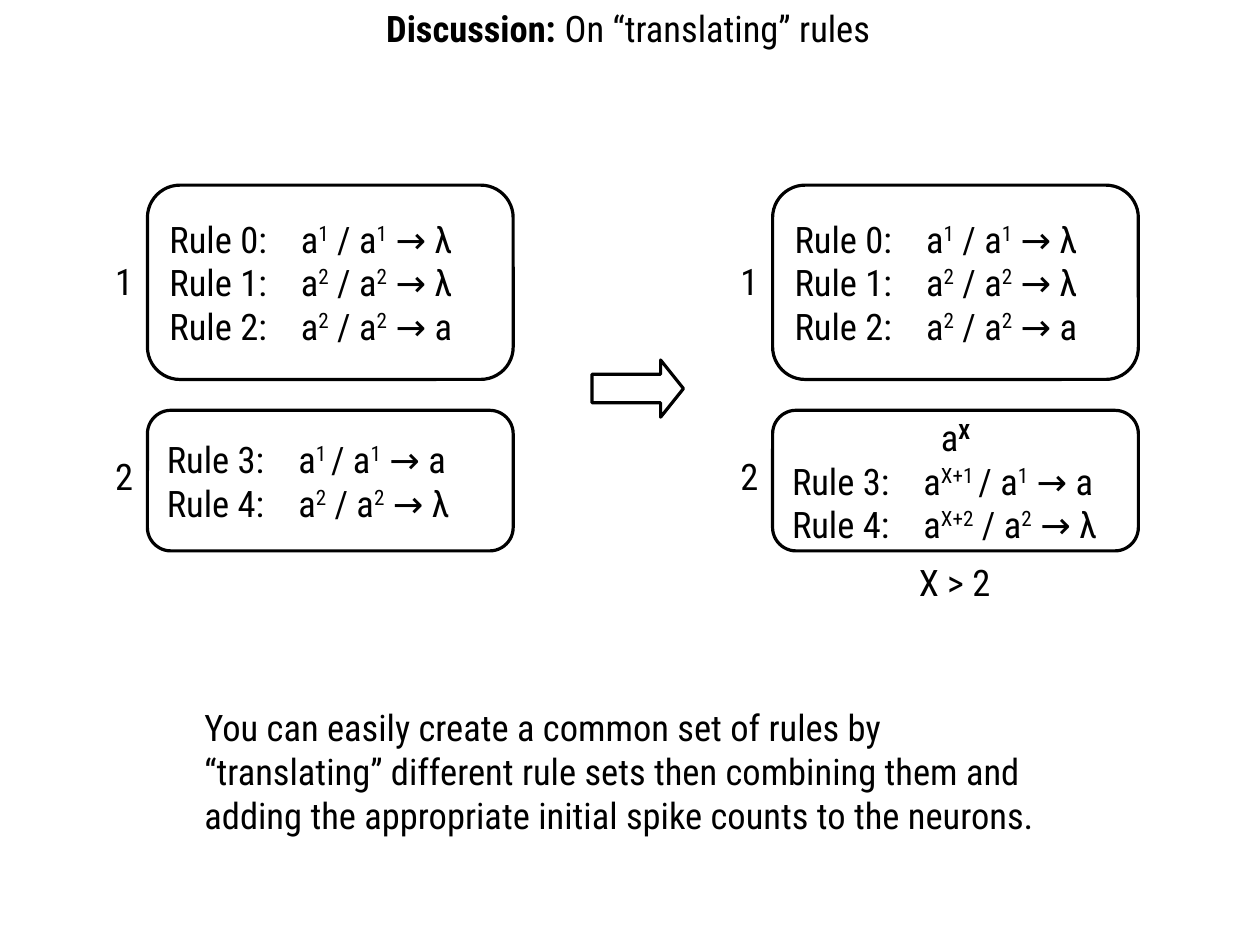
from dataclasses import dataclass

from lxml import etree
from pptx import Presentation
from pptx.dml.color import RGBColor
from pptx.enum.shapes import MSO_SHAPE
from pptx.enum.text import MSO_ANCHOR, PP_ALIGN
from pptx.oxml.ns import qn
from pptx.util import Inches, Pt

ROUNDED = MSO_SHAPE.ROUNDED_RECTANGLE
RIGHT_ARROW = MSO_SHAPE.RIGHT_ARROW
MIDDLE = MSO_ANCHOR.MIDDLE
LEFT, CENTER = PP_ALIGN.LEFT, PP_ALIGN.CENTER
CM_PER_INCH = 2.54


@dataclass(frozen=True)
class Theme:
    font: str = "Roboto Condensed"
    size: int = 23
    ink: RGBColor = RGBColor(0, 0, 0)
    line_width: int = 2
    rule_tab: float = 1.15


class SlideBuilder:
    def __init__(self, slide, theme):
        self.slide = slide
        self.theme = theme

    def style(self, paragraph):
        font = paragraph.font
        font.name = self.theme.font
        font.size = Pt(self.theme.size)
        font.color.rgb = self.theme.ink

    def text(self, left, top, width, height, content, bold_lead=""):
        box = self.slide.shapes.add_textbox(
            Inches(left), Inches(top), Inches(width), Inches(height))
        box.text_frame.word_wrap = True
        paragraph = box.text_frame.paragraphs[0]
        self.style(paragraph)
        if bold_lead:
            lead = paragraph.add_run()
            lead.text = bold_lead
            lead.font.bold = True
        paragraph.add_run().text = content

    def outline(self, kind, left, top, width, height, adjustments):
        shape = self.slide.shapes.add_shape(
            kind, Inches(left), Inches(top), Inches(width), Inches(height))
        for index, value in enumerate(adjustments):
            shape.adjustments[index] = value
        shape.shadow.inherit = False
        shape.fill.background()
        shape.line.color.rgb = self.theme.ink
        shape.line.width = Pt(self.theme.line_width)
        return shape

    def formula(self, paragraph, content, bold_power=False):
        """Text between carets is set as superscript."""
        for index, part in enumerate(content.split("^")):
            if not part:
                continue
            run = paragraph.add_run()
            run.text = part
            if index % 2:
                run._r.get_or_add_rPr().set("baseline", "33000")
                if bold_power:
                    run.font.bold = True

    def neuron(self, left, top, height, rules, spikes=""):
        shape = self.outline(ROUNDED, left, top, 3.2, height, [0.167])
        frame = shape.text_frame
        frame.word_wrap = True
        frame.vertical_anchor = MIDDLE
        frame.margin_left = frame.margin_right = Inches(0.11)
        frame.margin_top = frame.margin_bottom = Inches(0.06)
        lines = [spikes, *rules] if spikes else rules
        for index, line in enumerate(lines):
            paragraph = frame.add_paragraph() if index else frame.paragraphs[0]
            is_spikes = line == spikes
            paragraph.alignment = CENTER if is_spikes else LEFT
            self.style(paragraph)
            if not is_spikes:
                self.tab_stop(paragraph)
            self.formula(paragraph, line, bold_power=is_spikes)

    def tab_stop(self, paragraph):
        tabs = etree.Element(qn("a:tabLst"))
        position = str(Inches(self.theme.rule_tab))
        etree.SubElement(tabs, qn("a:tab"), pos=position, algn="l")
        paragraph._p.get_or_add_pPr().insert(0, tabs)


FIRST_RULES = [
    "Rule 0:\ta^1^ / a^1^ → λ",
    "Rule 1:\ta^2^ / a^2^ → λ",
    "Rule 2:\ta^2^ / a^2^ → a",
]
SECOND_RULES = [
    "Rule 3:\ta^1 ^/ a^1^ → a",
    "Rule 4:\ta^2^ / a^2^ → λ",
]
TRANSLATED_RULES = [
    "Rule 3:\ta^X+1 ^/ a^1^ → a",
    "Rule 4:\ta^X+2^ / a^2^ → λ",
]


def main():
    # Page of 28 by 21 centimetres
    presentation = Presentation()
    presentation.slide_width = Inches(28 / CM_PER_INCH)
    presentation.slide_height = Inches(21 / CM_PER_INCH)
    slide = presentation.slides.add_slide(presentation.slide_layouts[6])
    builder = SlideBuilder(slide, Theme())

    # Title
    builder.text(3.28, 0, 4.52, 0.94, "On “translating” rules", "Discussion: ")

    # Neuron pairs before and after translation
    for left, second_rules, spikes in (
            (1.29, SECOND_RULES, ""), (6.76, TRANSLATED_RULES, "a^X^")):
        builder.neuron(left, 1.62, 1.7, FIRST_RULES)
        builder.neuron(left, 3.59, 1.23, second_rules, spikes)
        for label, top in (("1", 2.22), ("2", 3.92)):
            builder.text(left - 0.38, top, 0.43, 0.52, label)

    # Translation arrow and condition
    builder.outline(RIGHT_ARROW, 5.18, 3.15, 0.8, 0.5, [0.5, 0.4])
    builder.text(7.94, 4.85, 0.9, 0.52, "X > 2")

    # Conclusion
    builder.text(
        1.69, 6.12, 7.72, 1.36,
        "You can easily create a common set of rules by “translating” "
        "different rule sets then combining them and adding the appropriate "
        "initial spike counts to the neurons.")

    presentation.save("out.pptx")


if __name__ == "__main__":
    main()
